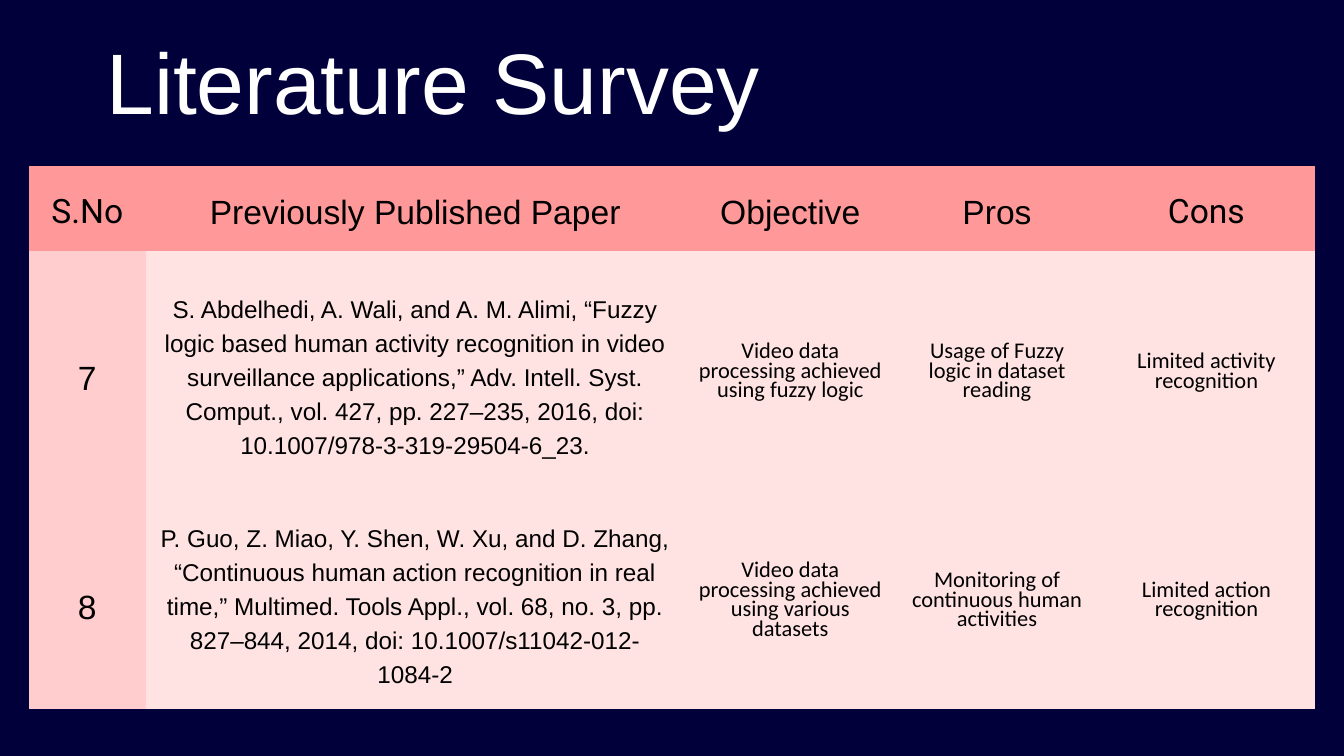
from pptx import Presentation
from pptx.dml.color import RGBColor
from pptx.enum.text import MSO_ANCHOR, PP_ALIGN
from pptx.oxml.ns import qn
from pptx.util import Cm, Pt
from lxml.etree import Element, SubElement


def color(hex_value):
    return RGBColor.from_string(hex_value)


def write(paragraph, text, font, size, spacing, hex_value):
    paragraph.alignment = PP_ALIGN.CENTER
    paragraph.line_spacing = Pt(spacing)
    run = paragraph.add_run()
    run.text = text
    run.font.name = font
    run.font.size = Pt(size)
    run.font.color.rgb = color(hex_value)


presentation = Presentation()
presentation.slide_width = Cm(50.8)
presentation.slide_height = Cm(28.58)
slide = presentation.slides.add_slide(presentation.slide_layouts[5])
slide.background.fill.solid()
slide.background.fill.fore_color.rgb = color("01003B")

title = slide.shapes.title
title.left, title.top, title.width, title.height = Cm(2.84), Cm(0.43), Cm(27.08), Cm(4.34)
heading = title.text_frame
heading.margin_left = heading.margin_right = heading.margin_top = heading.margin_bottom = 0
heading.vertical_anchor = MSO_ANCHOR.TOP
write(heading.paragraphs[0], "Literature Survey", "Arial", 92, 128.8, "FFFFFF")

papers = [
    ["S.No", "Previously Published Paper", "Objective", "Pros", "Cons"],
    [
        "7",
        "S. Abdelhedi, A. Wali, and A. M. Alimi, “Fuzzy logic based human activity "
        "recognition in video surveillance applications,” Adv. Intell. Syst. Comput., "
        "vol. 427, pp. 227–235, 2016, doi: 10.1007/978-3-319-29504-6_23.",
        "Video data processing achieved using fuzzy logic",
        "Usage of Fuzzy logic in dataset reading",
        "Limited activity recognition",
    ],
    [
        "8",
        "P. Guo, Z. Miao, Y. Shen, W. Xu, and D. Zhang, “Continuous human action "
        "recognition in real time,” Multimed. Tools Appl., vol. 68, no. 3, "
        "pp. 827–844, 2014, doi: 10.1007/s11042-012-1084-2",
        "Video data processing achieved using various datasets",
        "Monitoring of continuous human activities",
        "Limited action recognition",
    ],
]
column_widths = [4.42, 20.37, 7.98, 7.65, 8.18]
row_heights = [3.23, 9.32, 7.98]
header_fonts = ["Roboto", "Arial", "Arial", "Arial", "Roboto"]
body_styles = [("Arial", 36, 50.4), ("Arial", 26, 36.4)] + [("Calibri", 24, 21)] * 3

survey = slide.shapes.add_table(
    3, 5, Cm(1.09), Cm(6.27), Cm(sum(column_widths)), Cm(sum(row_heights))
).table
survey.first_row = False
survey.horz_banding = False
for column, width in zip(survey.columns, column_widths):
    column.width = Cm(width)
for row, height in zip(survey.rows, row_heights):
    row.height = Cm(height)

for row_number, entries in enumerate(papers):
    for column_number, entry in enumerate(entries):
        cell = survey.cell(row_number, column_number)
        cell.margin_left = cell.margin_right = cell.margin_top = cell.margin_bottom = Cm(0.53)
        cell.vertical_anchor = MSO_ANCHOR.MIDDLE
        if row_number == 0:
            background, style = "FF9999", (header_fonts[column_number], 36, 50.4)
        else:
            background = "FFCDCD" if column_number == 0 else "FFE3E3"
            style = body_styles[column_number]
        properties = cell._tc.get_or_add_tcPr()
        for position, side in enumerate(["lnL", "lnR", "lnT", "lnB"]):
            border = Element(qn(f"a:{side}"), w="0")
            SubElement(border, qn("a:noFill"))
            properties.insert(position, border)
        cell.fill.solid()
        cell.fill.fore_color.rgb = color(background)
        write(cell.text_frame.paragraphs[0], entry, *style, "000000")

presentation.save("out.pptx")
